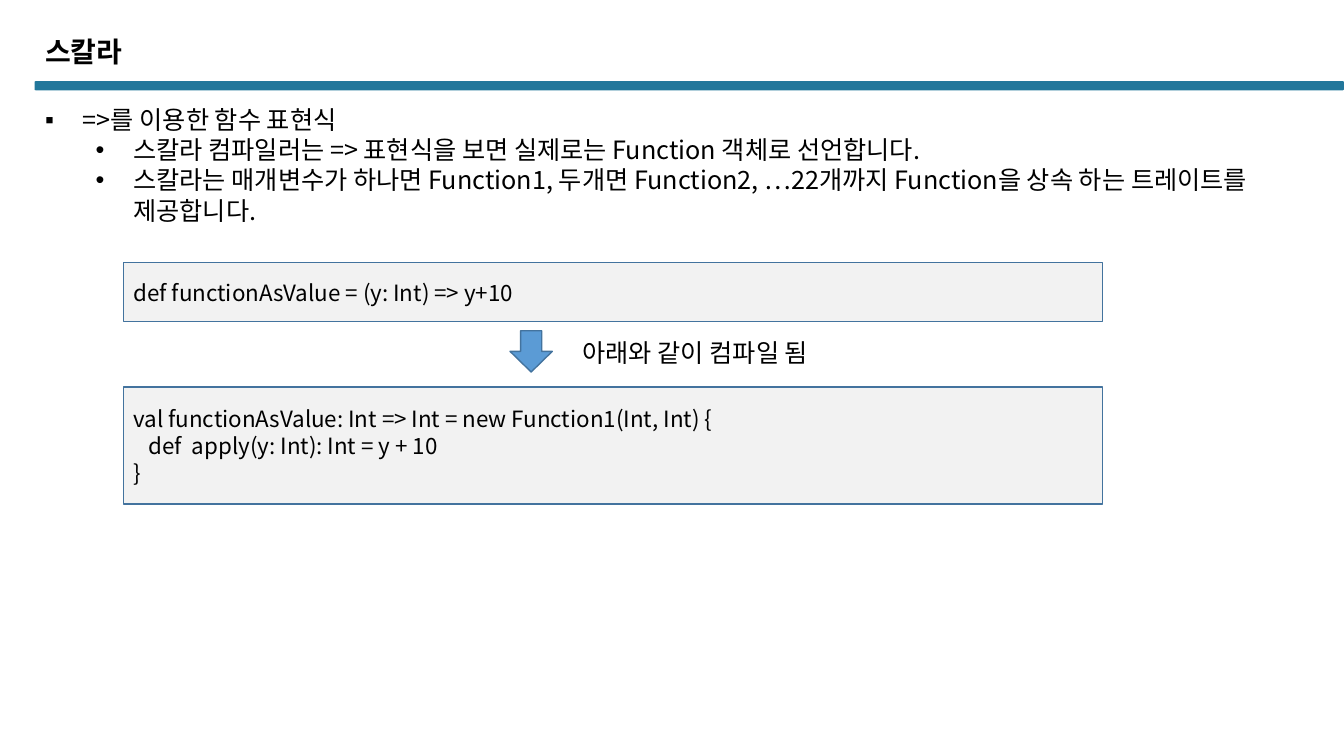
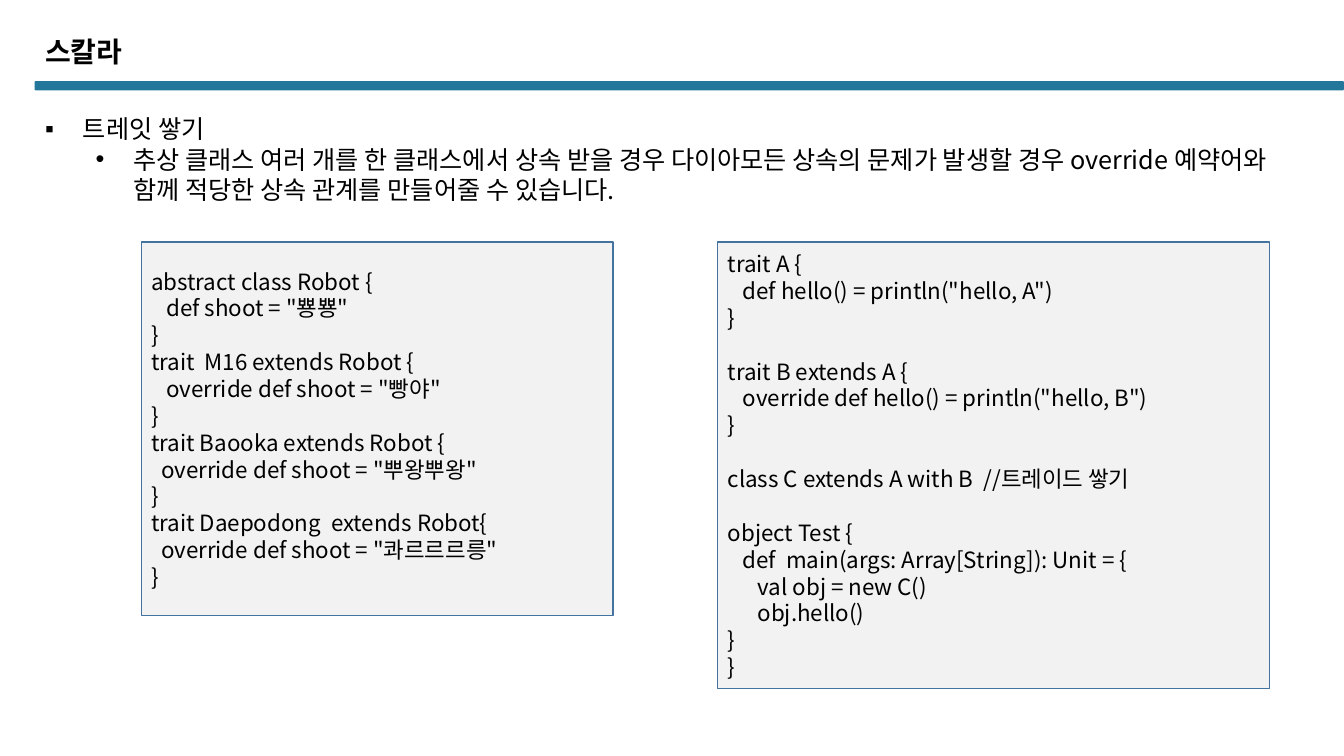
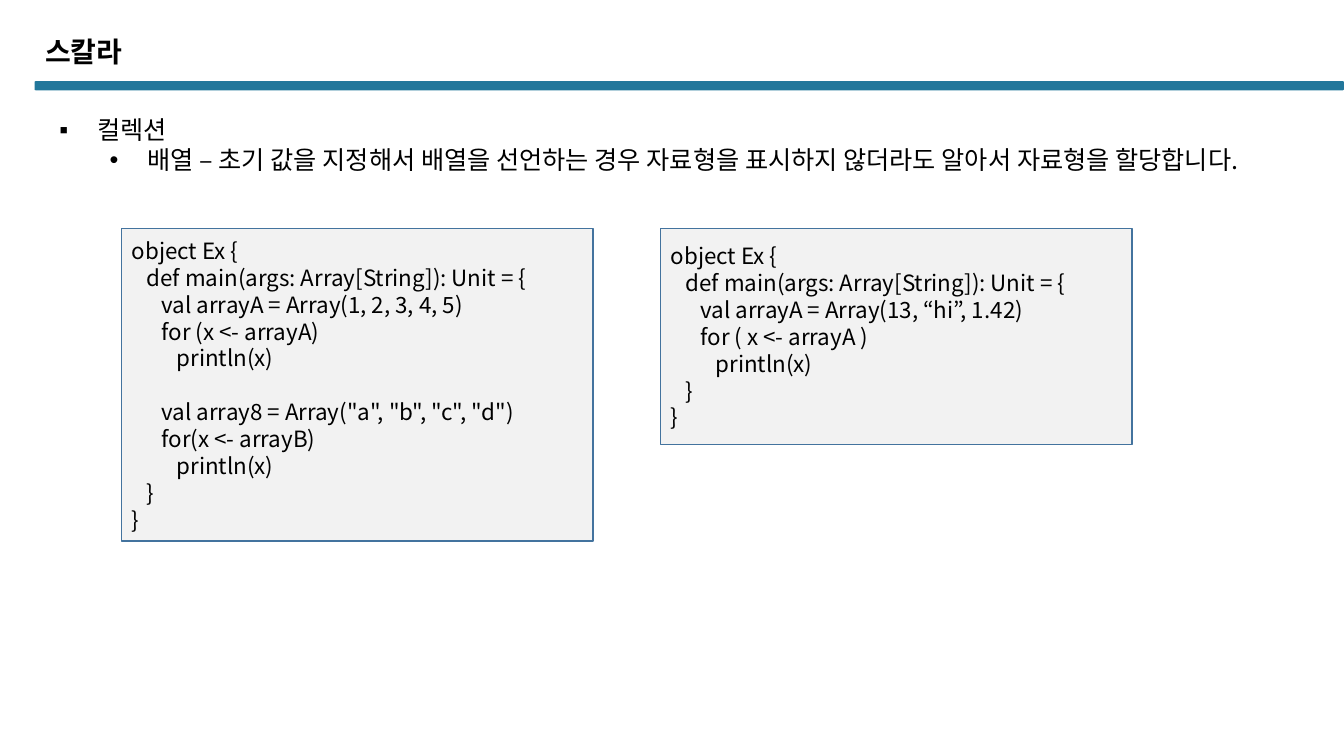
"""Builds three slides on Scala functions, traits and collections."""
from lxml.etree import SubElement
from pptx import Presentation
from pptx.dml.color import RGBColor
from pptx.enum.shapes import MSO_SHAPE
from pptx.enum.text import MSO_ANCHOR, PP_ALIGN
from pptx.oxml.ns import qn
from pptx.util import Pt

HUES = {"band": "22779B", "panel": "F2F2F2", "edge": "43739E", "arrow": "5B9BD5", "ink": "000000"}
FACE = "Noto Sans CJK KR"
MARKS = "▪•"


def write(frame, text, size=18, bold=False, lead=21.5, marks="", anchor=MSO_ANCHOR.TOP):
    frame.word_wrap = True
    frame.vertical_anchor = anchor
    gap = 0
    fresh = True
    for line in text.strip("\n").split("\n"):
        if not line:
            gap += lead
            continue
        para = frame.paragraphs[0] if fresh else frame.add_paragraph()
        para.alignment = PP_ALIGN.LEFT
        para.line_spacing = Pt(lead)
        if gap:
            para.space_before = Pt(gap)
        if marks:
            level = 0 if fresh else 1
            para.level = level
            props = para._p.get_or_add_pPr()
            props.set("marL", str(Pt(27 + 36 * level)))
            props.set("indent", str(Pt(-27)))
            SubElement(props, qn("a:buFont"), typeface="Arial")
            SubElement(props, qn("a:buChar"), char=marks[level])
        run = para.add_run()
        run.text = line
        font = run.font
        font.size, font.bold, font.name = Pt(size), bold, FACE
        font.color.rgb = RGBColor.from_string(HUES["ink"])
        SubElement(run._r.get_or_add_rPr(), qn("a:ea"), typeface=FACE)
        gap = 0
        fresh = False


def draw(slide, kind, box, fill, edge=None):
    shape = slide.shapes.add_shape(kind, *map(Pt, box))
    shape.shadow.inherit = False
    shape.fill.solid()
    shape.fill.fore_color.rgb = RGBColor.from_string(HUES[fill])
    if edge:
        shape.line.color.rgb = RGBColor.from_string(HUES[edge])
        shape.line.width = Pt(1)
    else:
        shape.line.fill.background()
    return shape


PAGES = [
    {
        "box": (25.2, 71.3, 895, 116.6),
        "points": """
=>를 이용한 함수 표현식
스칼라 컴파일러는 => 표현식을 보면 실제로는 Function 객체로 선언합니다.
스칼라는 매개변수가 하나면 Function1, 두개면 Function2, …22개까지 Function을 상속 하는 트레이트를 제공합니다.
""",
        "codes": [
            ((88.3, 187.7, 699.4, 41.8), "def functionAsValue = (y: Int) => y+10"),
            ((88.3, 276.5, 699.4, 83.5), """
val functionAsValue: Int => Int = new Function1(Int, Int) {
   def  apply(y: Int): Int = y + 10
}
"""),
        ],
    },
    {
        "box": (25.2, 77.8, 897, 72.7),
        "points": """
트레잇 쌓기
추상 클래스 여러 개를 한 클래스에서 상속 받을 경우 다이아모든 상속의 문제가 발생할 경우 override 예약어와 함께 적당한 상속 관계를 만들어줄 수 있습니다.
""",
        "codes": [
            ((100.9, 172.8, 337, 267), """
abstract class Robot {
   def shoot = "뿅뿅"
}
trait  M16 extends Robot {
   override def shoot = "빵야"
}
trait Baooka extends Robot {
  override def shoot = "뿌왕뿌왕"
}
trait Daepodong  extends Robot{
  override def shoot = "콰르르르릉"
}
"""),
            ((512.7, 172.8, 394, 319), """
trait A {
   def hello() = println("hello, A")
}

trait B extends A {
   override def hello() = println("hello, B")
}

class C extends A with B  //트레이드 쌓기

object Test {
   def  main(args: Array[String]): Unit = {
      val obj = new C()
      obj.hello()
}
}
"""),
        ],
    },
    {
        "box": (35.3, 78.5, 895, 94.3),
        "points": """
컬렉션
배열 – 초기 값을 지정해서 배열을 선언하는 경우 자료형을 표시하지 않더라도 알아서 자료형을 할당합니다.
""",
        "codes": [
            ((87, 163.3, 336.5, 223.2), """
object Ex {
   def main(args: Array[String]): Unit = {
      val arrayA = Array(1, 2, 3, 4, 5)
      for (x <- arrayA)
         println(x)

      val array8 = Array("a", "b", "c", "d")
      for(x <- arrayB)
         println(x)
   }
}
"""),
            ((472, 163.3, 336.5, 154), """
object Ex {
   def main(args: Array[String]): Unit = {
      val arrayA = Array(13, “hi”, 1.42)
      for ( x <- arrayA )
         println(x)
   }
}
"""),
        ],
    },
]

deck = Presentation()
deck.slide_width, deck.slide_height = Pt(960), Pt(540)
for page in PAGES:
    slide = deck.slides.add_slide(deck.slide_layouts[6])
    band = draw(slide, MSO_SHAPE.ROUNDED_RECTANGLE, (24.7, 58, 935.3, 6.5), "band")
    band.adjustments[0] = 0.13
    title = slide.shapes.add_textbox(Pt(25.2), Pt(23.8), Pt(569), Pt(33.8))
    write(title.text_frame, "스칼라", size=20, bold=True, lead=21.6)
    body = slide.shapes.add_textbox(*map(Pt, page["box"]))
    write(body.text_frame, page["points"], marks=MARKS)
    for box, code in page["codes"]:
        panel = draw(slide, MSO_SHAPE.RECTANGLE, box, "panel", "edge")
        write(panel.text_frame, code, size=16, lead=19.2, anchor=MSO_ANCHOR.MIDDLE)

first = deck.slides[0]
draw(first, MSO_SHAPE.DOWN_ARROW, (364.3, 236.2, 30.2, 29.5), "arrow", "edge")
label = first.shapes.add_textbox(Pt(409), Pt(237.6), Pt(353), Pt(28.8))
write(label.text_frame, "아래와 같이 컴파일 됨")

deck.save("out.pptx")
